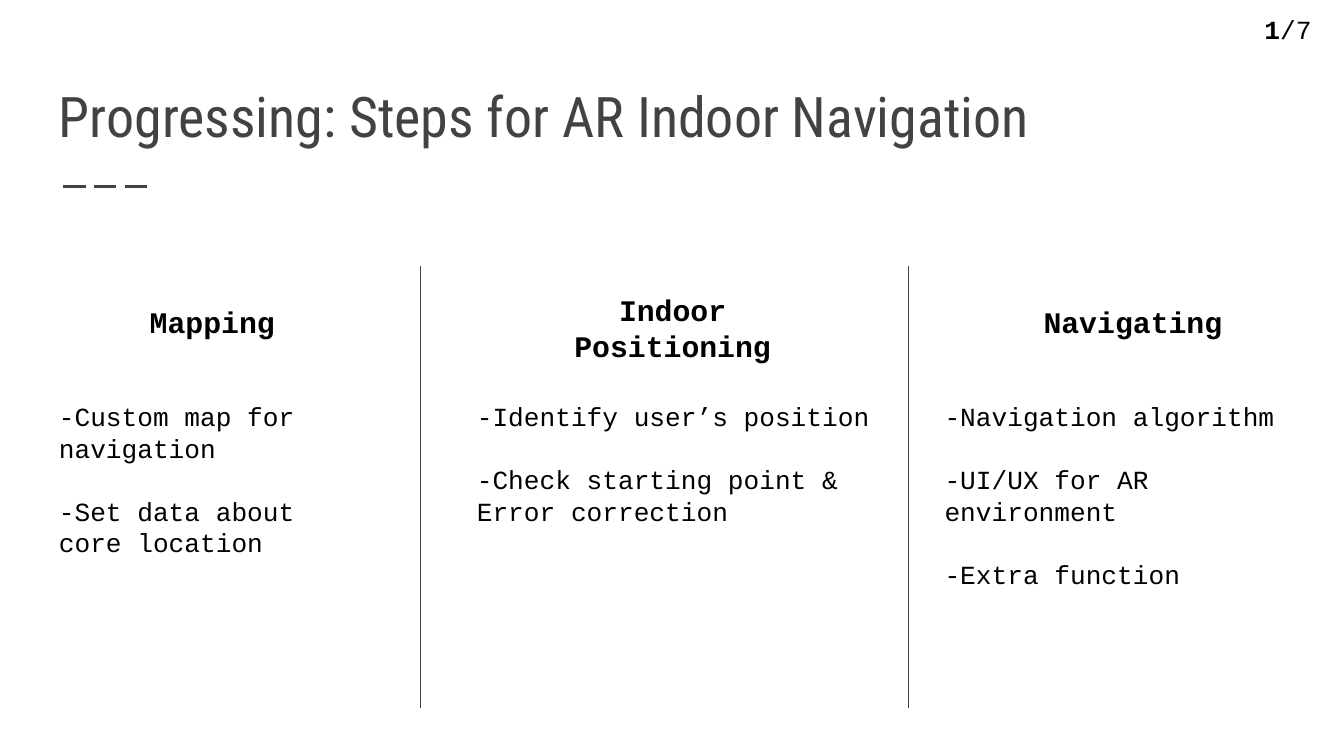
import pptx
import pptx.dml.color
import pptx.enum.dml
import pptx.enum.shapes
import pptx.enum.text
import pptx.oxml.ns
import pptx.util
from pptx.util import Inches, Pt

MONO = "Courier New"
GREY = "424242"
BLACK = "000000"
LINE_HEIGHT = 1.21
BODY_TOP = 2.88

# Heading, its box, body items, and body box (left, width, height)
COLUMNS = [
    ("Mapping", (0.9, 2.16, 1.36, 0.47),
     ["-Custom map for navigation", "-Set data about core location"],
     (0.34, 2.47, 1.62)),
    ("Indoor Positioning", (3.74, 2.07, 2.53, 0.74),
     ["-Identify user’s position", "-Check starting point & Error correction"],
     (3.45, 3.16, 1.14)),
    ("Navigating", (7.63, 2.16, 1.6, 0.47),
     ["-Navigation algorithm", "-UI/UX for AR environment", "-Extra function"],
     (6.93, 2.76, 1.62)),
]
DIVIDERS = [3.13, 6.76]


def color(value):
    return pptx.dml.color.RGBColor.from_string(value)


def add_text_box(page, bounds):
    box = page.shapes.add_textbox(*map(Inches, bounds))
    frame = box.text_frame
    frame.word_wrap = True
    frame.margin_left = frame.margin_right = Inches(0.1)
    frame.margin_top = frame.margin_bottom = Inches(0.1)
    return frame


def style(para, size, font=MONO, fill=BLACK, bold=False):
    para.font.name = font
    para.font.size = Pt(size)
    para.font.bold = bold
    para.font.color.rgb = color(fill)
    if font == MONO:
        para.line_spacing = Pt(round(size * LINE_HEIGHT, 1))


def add_line(page, start, end, width, dash=None):
    line = page.shapes.add_connector(
        pptx.enum.shapes.MSO_CONNECTOR.STRAIGHT,
        *map(Inches, start + end))
    line.line.color.rgb = color(GREY)
    line.line.width = Pt(width)
    if dash is not None:
        line.line.dash_style = dash
    properties = line._element.spPr
    properties.append(properties.makeelement(
        pptx.oxml.ns.qn("a:effectLst"), {}))


def add_title(page, bounds):
    """Title text with the dashed rule below it."""
    left, top, _, height = bounds
    frame = add_text_box(page, bounds)
    frame.vertical_anchor = pptx.enum.text.MSO_ANCHOR.BOTTOM
    para = frame.paragraphs[0]
    para.text = "Progressing: Steps for AR Indoor Navigation"
    style(para, 30, "Roboto Condensed", GREY)
    rule_y = top + height + 0.18
    add_line(page, (left + 0.13, rule_y), (left + 0.8, rule_y), 1.5,
             pptx.enum.dml.MSO_LINE.LONG_DASH)


def add_page_number(page, bounds):
    para = add_text_box(page, bounds).paragraphs[0]
    span = para.add_run()
    span.text = "1"
    span.font.bold = True
    para.add_run().text = "/7"
    style(para, 14)


def add_heading(page, bounds, text):
    para = add_text_box(page, bounds).paragraphs[0]
    para.text = text
    para.alignment = pptx.enum.text.PP_ALIGN.CENTER
    style(para, 16, bold=True)


def add_items(page, bounds, items):
    """Body items set one line height apart."""
    frame = add_text_box(page, bounds)
    for index, item in enumerate(items):
        para = frame.add_paragraph() if index else frame.paragraphs[0]
        para.text = item
        style(para, 14)
        if index:
            para.space_before = para.line_spacing


def main():
    deck = pptx.Presentation()
    deck.slide_width = Inches(10)
    deck.slide_height = deck.slide_width * 9 // 16
    page = deck.slides.add_slide(deck.slide_layouts[6])

    add_title(page, (0.34, 0.41, 9.32, 0.8))
    add_page_number(page, (9.31, 0, 0.69, 0.44))
    for heading, heading_bounds, items, (left, width, height) in COLUMNS:
        add_heading(page, heading_bounds, heading)
        add_items(page, (left, BODY_TOP, width, height), items)
    for x in DIVIDERS:
        add_line(page, (x, 1.98), (x, 5.27), 0.75)

    deck.save("out.pptx")


if __name__ == "__main__":
    main()
